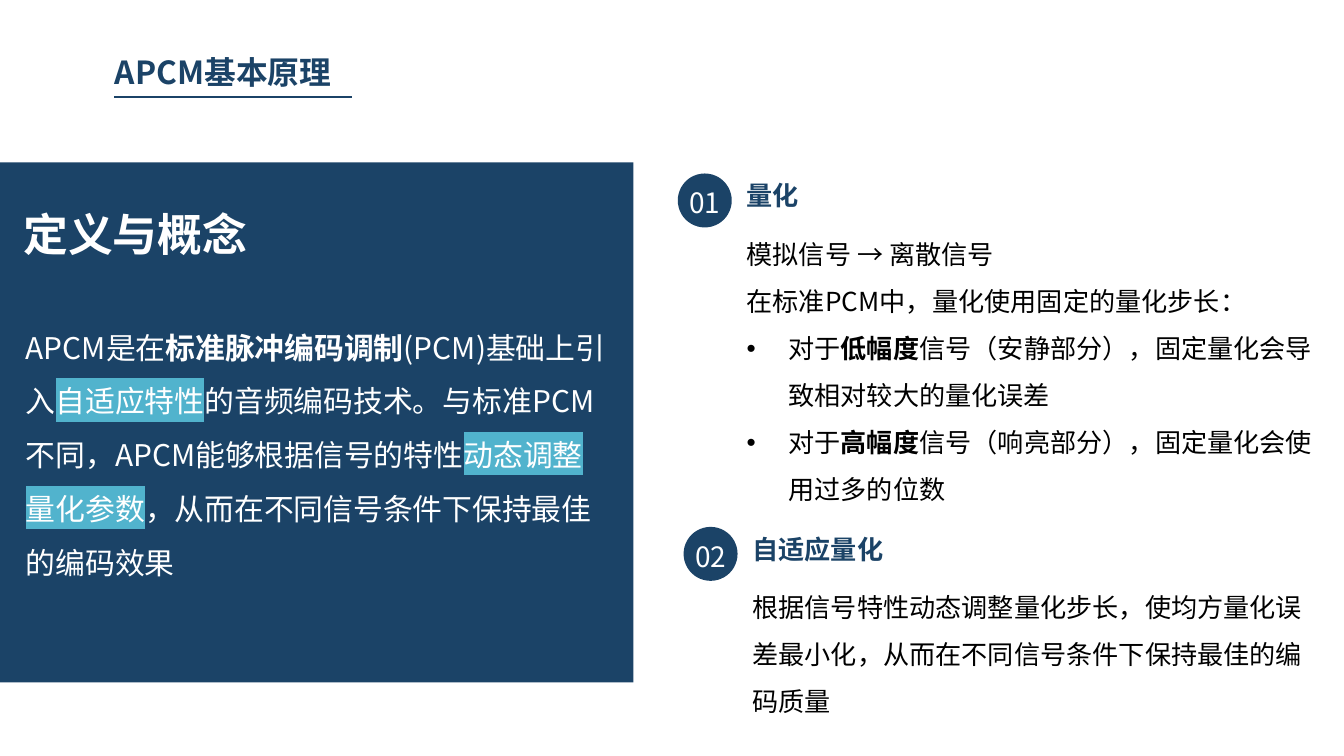
from lxml.etree import SubElement
from pptx import Presentation
from pptx.dml.color import RGBColor
from pptx.enum.shapes import MSO_CONNECTOR, MSO_SHAPE
from pptx.enum.text import MSO_ANCHOR, MSO_AUTO_SIZE, PP_ALIGN
from pptx.oxml.ns import qn
from pptx.util import Cm, Pt

COLORS = {"navy": "1B4367", "sky": "51B3CD", "white": "FFFFFF", "black": "000000"}
FONT = "Noto Sans CJK SC"

TITLE = "APCM基本原理"
CONCEPT_HEADING = "定义与概念"
CONCEPT = [
    ("APCM是在", ""), ("标准脉冲编码调制", "bold"), ("(PCM)基础上引入", ""),
    ("自适应特性", "mark"),
    ("的音频编码技术。与标准PCM不同，APCM能够根据信号的特性", ""),
    ("动态调整量化参数", "mark"),
    ("，从而在不同信号条件下保持最佳的编码效果", ""),
]
SECTIONS = [
    {
        "number": "01", "heading": "量化", "origin": (12.81, 3.28),
        "heading_width": 1.37, "body_size": (11.23, 5.46),
        "intro": ["模拟信号 → 离散信号", "在标准PCM中，量化使用固定的量化步长："],
        "bullets": [
            [("对于", ""), ("低幅度", "bold"),
             ("信号（安静部分），固定量化会导致相对较大的量化误差", "")],
            [("对于", ""), ("高幅度", "bold"),
             ("信号（响亮部分），固定量化会使用过多的位数", "")],
        ],
    },
    {
        "number": "02", "heading": "自适应量化", "origin": (12.92, 9.96),
        "heading_width": 2.87, "body_size": (11.07, 2.77),
        "intro": ["根据信号特性动态调整量化步长，使均方量化误差最小化，从而在不同信号条件下保持最佳的编码质量"],
        "bullets": [],
    },
]


def write(box, paragraphs, size, color, bold=False, wrap=True, spacing=1.0,
          align=PP_ALIGN.LEFT, insets=(0.19, 0.1), bullets_from=None):
    """Fill a box with paragraphs, each a string or a list of (text, style) runs."""
    frame = box.text_frame
    frame.word_wrap = wrap
    frame.auto_size = MSO_AUTO_SIZE.SHAPE_TO_FIT_TEXT
    frame.vertical_anchor = MSO_ANCHOR.TOP
    frame.margin_left = frame.margin_right = Cm(insets[0])
    frame.margin_top = frame.margin_bottom = Cm(insets[1])
    for index, content in enumerate(paragraphs):
        paragraph = frame.add_paragraph() if index else frame.paragraphs[0]
        paragraph.alignment = align
        paragraph.line_spacing = spacing
        paragraph.space_before = Pt(0)
        if bullets_from is not None and index >= bullets_from:
            properties = paragraph._p.get_or_add_pPr()
            properties.set("marL", str(Cm(0.79)))
            properties.set("indent", str(-Cm(0.79)))
            SubElement(properties, qn("a:buFont"), typeface="Arial")
            SubElement(properties, qn("a:buChar"), char="•")
        runs = [(content, "")] if isinstance(content, str) else content
        for text, style in runs:
            run = paragraph.add_run()
            run.text = text
            run.font.size = Pt(size)
            run.font.bold = bold or style == "bold"
            run.font.color.rgb = RGBColor.from_string(COLORS[color])
            properties = run._r.get_or_add_rPr()
            if style == "mark":
                highlight = SubElement(properties, qn("a:highlight"))
                SubElement(highlight, qn("a:srgbClr"), val=COLORS["sky"])
            run.font.name = FONT
            SubElement(properties, qn("a:ea"), typeface=FONT)


def add_text(shapes, place, paragraphs, **style):
    """Add a text box at a place given in centimetres."""
    write(shapes.add_textbox(*map(Cm, place)), paragraphs, **style)


def add_filled(shapes, preset, place):
    """Add a plain navy shape at a place given in centimetres."""
    shape = shapes.add_shape(preset, *map(Cm, place))
    shape.shadow.inherit = False
    shape.fill.solid()
    shape.fill.fore_color.rgb = RGBColor.from_string(COLORS["navy"])
    shape.line.fill.background()


def add_section(shapes, section):
    """Add a numbered badge with its heading and body."""
    left, top = section["origin"]
    text_left = left + 1.11
    add_text(shapes, (text_left, top + 0.02, section["heading_width"], 0.79),
             [section["heading"]], size=14, color="navy", bold=True, wrap=False)
    add_text(shapes, (text_left, top + 0.83, *section["body_size"]),
             section["intro"] + section["bullets"], size=14, color="black",
             spacing=1.5, bullets_from=len(section["intro"]))
    badge = shapes.add_group_shape().shapes
    add_filled(badge, MSO_SHAPE.OVAL, (left, top, 1.02, 1.02))
    add_text(badge, (left - 0.11, top + 0.1, 1.24, 0.89), [section["number"]],
             size=15, color="white", align=PP_ALIGN.CENTER, insets=(0.25, 0.13))


def main():
    """Build the slide and save it."""
    deck = Presentation()
    deck.slide_width, deck.slide_height = Cm(25.4), Cm(14.29)
    slide = deck.slides.add_slide(deck.slide_layouts[5])
    shapes = slide.shapes

    title = shapes.title
    title.left, title.top, title.width, title.height = map(Cm, (1.98, 0.89, 6.27, 0.91))
    write(title, [TITLE], size=17, color="navy", bold=True)
    underline = shapes.add_connector(MSO_CONNECTOR.STRAIGHT,
                                     Cm(2.16), Cm(1.83), Cm(6.65), Cm(1.83))
    underline.line.color.rgb = RGBColor.from_string(COLORS["navy"])
    underline.line.width = Pt(0.75)
    SubElement(underline._element.spPr, qn("a:effectLst"))

    add_filled(shapes, MSO_SHAPE.RECTANGLE, (0, 3.07, 11.97, 9.83))
    add_text(shapes, (0.25, 3.81, 4.65, 1.22), [CONCEPT_HEADING],
             size=24, color="white", bold=True, wrap=False)
    add_text(shapes, (0.3, 5.79, 11.35, 5.21), [CONCEPT],
             size=16, color="white", spacing=1.5)
    for section in SECTIONS:
        add_section(shapes, section)

    deck.save("out.pptx")


if __name__ == "__main__":
    main()
